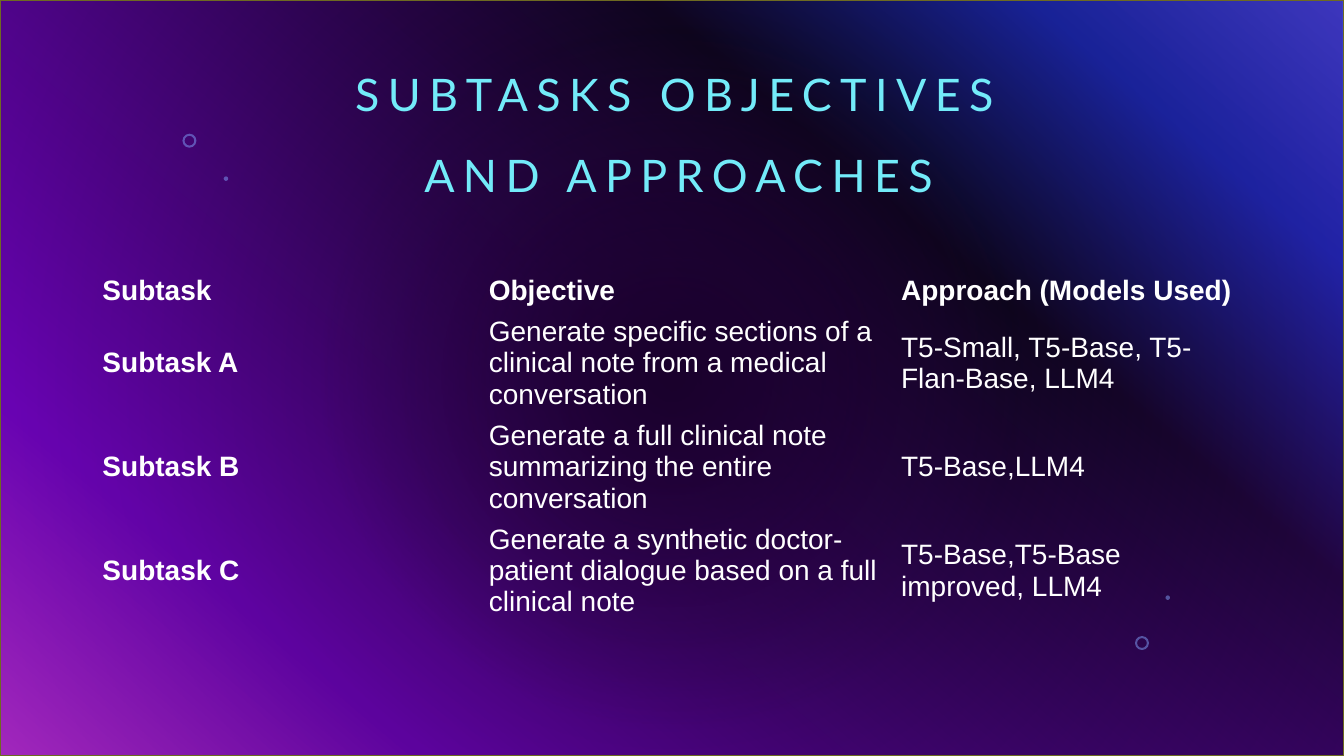
from lxml import etree
from pptx import Presentation
from pptx.dml.color import RGBColor
from pptx.enum.shapes import MSO_SHAPE
from pptx.enum.text import MSO_ANCHOR, MSO_AUTO_SIZE, PP_ALIGN
from pptx.oxml.ns import qn
from pptx.util import Pt

RECT, DONUT, OVAL = MSO_SHAPE.RECTANGLE, MSO_SHAPE.DONUT, MSO_SHAPE.OVAL
LEFT, CENTER = PP_ALIGN.LEFT, PP_ALIGN.CENTER
MIDDLE = MSO_ANCHOR.MIDDLE
NO_AUTOFIT = MSO_AUTO_SIZE.NONE
WIDTH, HEIGHT = 960, 540
NO_STYLE = "{2D5ABB26-0587-4C30-8999-92F81FD0307C}"

BACKGROUND = [(0, "316CFC", 100), (14, "0343DF", 100), (31, "02090E", 100),
              (81, "9405FC", 100), (100, "FC4EFB", 100)]
VIGNETTE = [(0, "1A012C", 100), (45, "1A012C", 50), (100, "4A027F", 50)]
BUBBLES = [(DONUT, 130.3, 95.5, 10), (OVAL, 159.8, 126, 3.2),
           (DONUT, 810.7, 454.3, 10), (OVAL, 832.5, 425.3, 3.2)]

COLUMNS = [276, 294.5, 257.5]
ROWS = [29.2, 74, 74, 74]
CELLS = [
    ["Subtask", "Objective", "Approach (Models Used)"],
    ["Subtask A",
     "Generate specific sections of a clinical note from a medical conversation",
     "T5-Small, T5-Base, T5-Flan-Base, LLM4"],
    ["Subtask B",
     "Generate a full clinical note summarizing the entire conversation",
     "T5-Base,LLM4"],
    ["Subtask C",
     "Generate a synthetic doctor-patient dialogue based on a full clinical note",
     "T5-Base,T5-Base improved, LLM4"],
]


def rgb(color):
    return RGBColor.from_string(color)


def set_alpha(color, percent):
    etree.SubElement(color, qn("a:alpha")).set("val", str(percent * 1000))


def set_gradient(fill, parent, stops, angle=None):
    fill.gradient()
    grad = next(parent.iter(qn("a:gradFill")))
    for child in list(grad):
        grad.remove(child)
    gs_list = etree.SubElement(grad, qn("a:gsLst"))
    for pos, color, alpha in stops:
        gs = etree.SubElement(gs_list, qn("a:gs"), pos=str(pos * 1000))
        set_alpha(etree.SubElement(gs, qn("a:srgbClr"), val=color), alpha)
    if angle is None:
        route = etree.SubElement(grad, qn("a:path"))
        route.set("path", "circle")
        center = dict.fromkeys("ltrb", "50000")
        etree.SubElement(route, qn("a:fillToRect"), **center)
    else:
        etree.SubElement(grad, qn("a:lin"), ang=str(angle * 60000), scaled="0")


def write(tf, text, size=20, font="Arial", color="FFFFFF", bold=False,
          align=LEFT, line_spacing=1.0, tracking=0):
    tf.word_wrap = True
    p = tf.paragraphs[0]
    p.alignment = align
    p.line_spacing = line_spacing
    r = p.add_run()
    r.text = text
    r.font.size = Pt(size)
    r.font.name = font
    r.font.bold = bold
    r.font.color.rgb = rgb(color)
    if tracking:
        r.font._element.set("spc", str(tracking * 100))


def add_vignette(s):
    sp = s.shapes.add_shape(RECT, 0, 0, Pt(WIDTH), Pt(HEIGHT))
    sp.shadow.inherit = False
    set_gradient(sp.fill, sp.element, VIGNETTE)
    sp.line.color.rgb = rgb("6E6A21")
    sp.line.width = Pt(1)
    sp.element.getparent().insert(2, sp.element)


def add_bubble(s, shape, left, top, size):
    sp = s.shapes.add_shape(shape, Pt(left), Pt(top), Pt(size), Pt(size))
    sp.shadow.inherit = False
    sp.fill.solid()
    sp.fill.fore_color.rgb = rgb("83A7FD")
    set_alpha(next(sp.element.iter(qn("a:srgbClr"))), 49)
    sp.line.fill.background()
    if shape == DONUT:
        sp.adjustments[0] = 0.15


def add_title(s, text):
    sp = s.shapes.title
    sp.left, sp.top, sp.width, sp.height = Pt(220.3), Pt(12.2), Pt(529.2), Pt(148.3)
    tf = sp.text_frame
    tf.auto_size = NO_AUTOFIT
    tf.vertical_anchor = MIDDLE
    write(tf, text, size=32, font="Lato", color="73EBF9", align=CENTER,
          line_spacing=1.5, tracking=6)


def add_subtask_table(s):
    frame = s.shapes.add_table(len(ROWS), len(COLUMNS), Pt(66), Pt(192.8),
                               Pt(sum(COLUMNS)), Pt(sum(ROWS)))
    table = frame.table
    table.first_row = table.horz_banding = False
    next(frame._element.iter(qn("a:tableStyleId"))).text = NO_STYLE
    for column, width in zip(table.columns, COLUMNS):
        column.width = Pt(width)
    for i, (row, height) in enumerate(zip(table.rows, ROWS)):
        row.height = Pt(height)
        for j, cell in enumerate(row.cells):
            cell.fill.background()
            cell.vertical_anchor = MIDDLE
            write(cell.text_frame, CELLS[i][j], bold=i == 0 or j == 0)


def main():
    prs = Presentation()
    prs.slide_width, prs.slide_height = Pt(WIDTH), Pt(HEIGHT)
    s = prs.slides.add_slide(prs.slide_layouts[5])
    set_gradient(s.background.fill, s.element, BACKGROUND, angle=130)
    add_vignette(s)
    for bubble in BUBBLES:
        add_bubble(s, *bubble)
    add_title(s, "SUBTASKS OBJECTIVES AND APPROACHES")
    add_subtask_table(s)
    prs.save("out.pptx")


if __name__ == "__main__":
    main()
